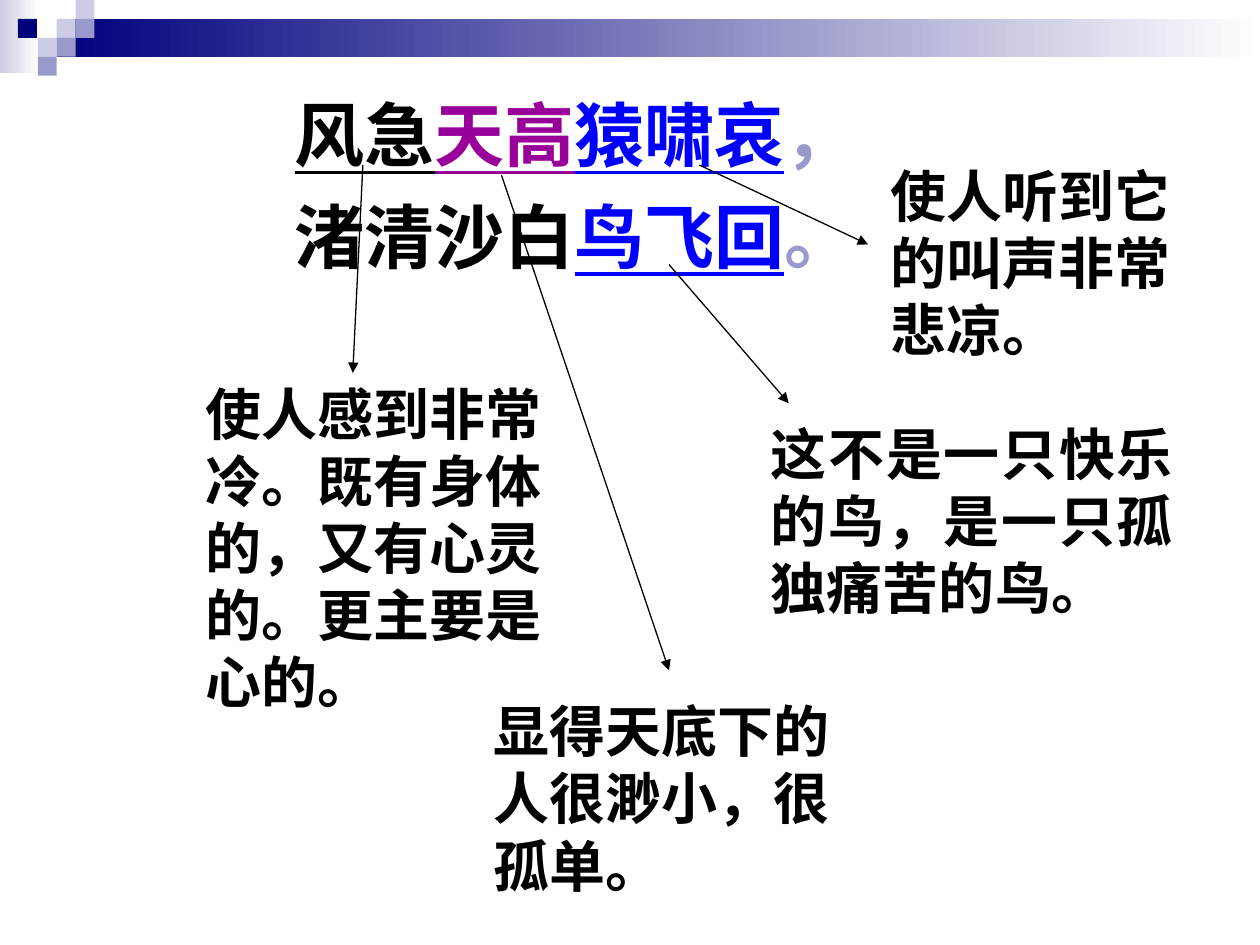
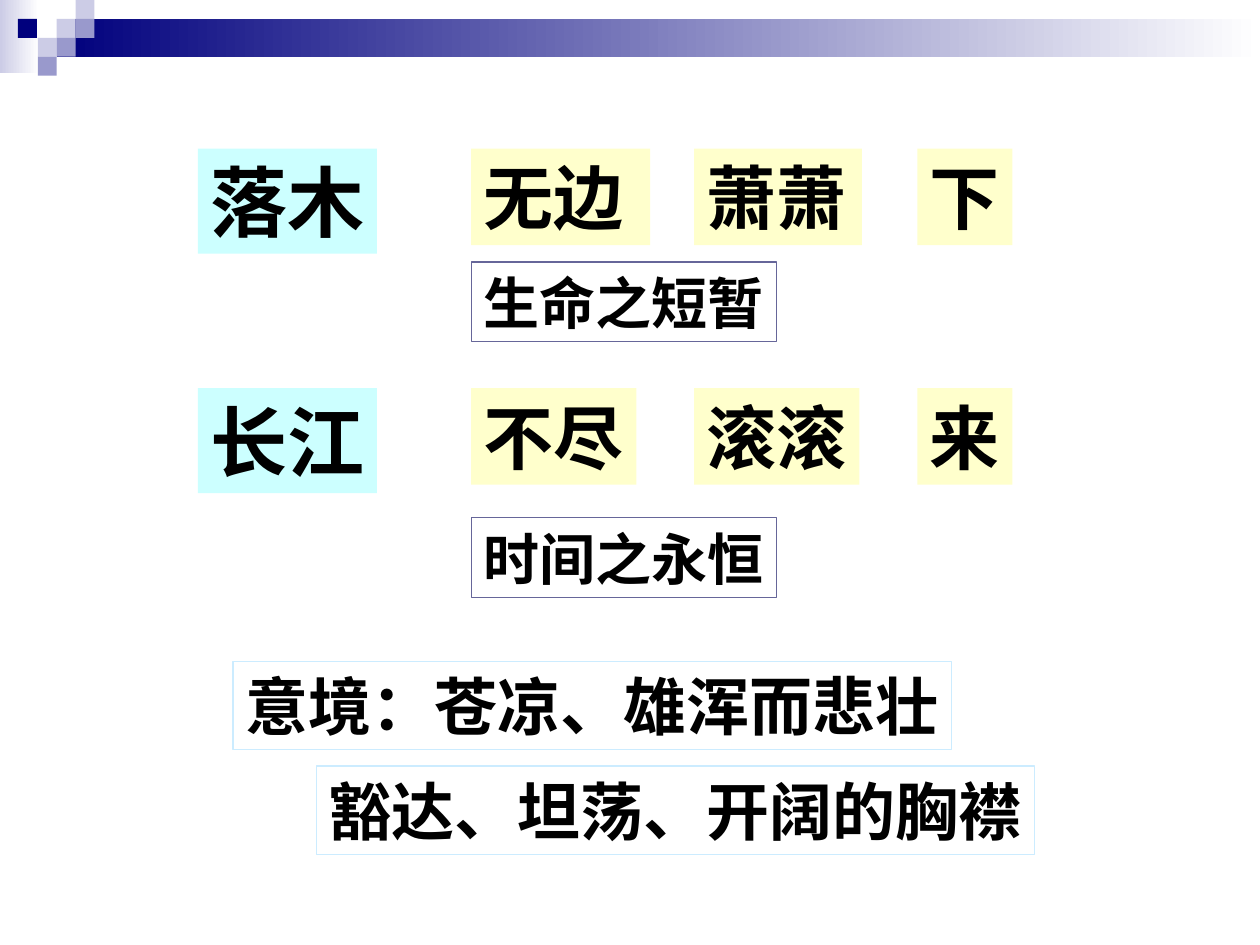
from dataclasses import dataclass
from typing import NamedTuple

from lxml import etree
from pptx import Presentation
from pptx.dml.color import RGBColor
from pptx.enum import shapes, text
from pptx.oxml import ns
from pptx.util import Emu, Inches, Pt

COLS, ROWS = 100, 75  # square cells on a 10 x 7.5 inch slide
WIDE, HIGH = Inches(10), Inches(7.5)
PER_INCH = 10  # cells in an inch


@dataclass(frozen=True)
class Theme:
    latin: str = "Times New Roman"
    asian: str = "Noto Sans CJK SC"
    ink: str = "000000"
    white: str = "FFFFFF"
    navy: str = "00007D"
    lilac: str = "9999CC"
    pale: str = "CCCCE6"
    plum: str = "990099"
    blue: str = "0000FF"
    aqua: str = "CCFFFF"
    cream: str = "FFFFCC"
    slate: str = "666699"
    sky: str = "CCECFF"
    head: int = 44
    verse: int = 40
    mood: int = 36
    note: int = 32
    lead: float = 1.2  # line height in ems
    rule: float = 0.75


T = Theme()


class Part(NamedTuple):
    words: str
    color: str
    under: bool = False


class Box(NamedTuple):
    col: float
    row: float
    cols: float
    rows: float


class Note(NamedTuple):
    words: str
    box: Box
    just: bool = False


class Line(NamedTuple):
    start: tuple[float, float]
    end: tuple[float, float]


class Tile(NamedTuple):
    words: str
    col: float
    row: float
    size: int
    fill: str | None = None
    edge: str | None = None
    extra: float = 0  # columns beyond the width of the words


# Grid and text helpers
def x(col: float) -> Emu:
    return Emu(round(WIDE * col / COLS))


def y(row: float) -> Emu:
    return Emu(round(HIGH * row / ROWS))


def place(box: Box) -> tuple[Emu, Emu, Emu, Emu]:
    return x(box.col), y(box.row), x(box.cols), y(box.rows)


def rgb(code: str) -> RGBColor:
    return RGBColor.from_string(code)


def frame(shape, wrap: bool = True):
    tf = shape.text_frame
    tf.word_wrap = wrap
    tf.auto_size = text.MSO_AUTO_SIZE.NONE
    tf.vertical_anchor = text.MSO_ANCHOR.TOP
    return tf


def write(para, parts: list[Part], size: int, latin: str = T.latin) -> None:
    para.line_spacing = Pt(size * T.lead)
    para.space_before = Pt(0)
    para.alignment = text.PP_ALIGN.LEFT
    for part in parts:
        run = para.add_run()
        run.text = part.words
        font = run.font
        font.name, font.size, font.bold = latin, Pt(size), True
        font.underline = part.under
        font.color.rgb = rgb(part.color)
        face = etree.Element(ns.qn("a:ea"), typeface=T.asian)
        run._r.rPr.find(ns.qn("a:latin")).addnext(face)


# Shape helpers
def rect(slide, box: Box, fill: str | None, edge: str | None = None,
         fade: bool = False):
    shape = slide.shapes.add_shape(shapes.MSO_SHAPE.RECTANGLE, *place(box))
    shape.shadow.inherit = False
    if fade:
        shape.fill.gradient()
        shape.fill.gradient_angle = 0
        for stop, color, pos in zip(shape.fill.gradient_stops,
                                    (fill, T.white), (0, 1)):
            stop.color.rgb, stop.position = rgb(color), pos
    elif fill:
        shape.fill.solid()
        shape.fill.fore_color.rgb = rgb(fill)
    else:
        shape.fill.background()
    if edge:
        shape.line.color.rgb, shape.line.width = rgb(edge), Pt(T.rule)
    else:
        shape.line.fill.background()
    return shape


def band(slide) -> None:
    side = 1.5
    rect(slide, Box(0, 0, 3.1, 5.8), T.pale, fade=True)
    rect(slide, Box(4.5, side, 95.5, 3), T.navy, fade=True)
    for col, row, color in CHECKS:
        rect(slide, Box(col * side, row * side, side, side), color)


def jot(slide, note: Note) -> None:
    tf = frame(slide.shapes.add_textbox(*place(note.box)))
    para = tf.paragraphs[0]
    write(para, [Part(note.words, T.ink)], T.note, T.asian)
    if note.just:
        para.alignment = text.PP_ALIGN.JUSTIFY


def arrow(slide, line: Line) -> None:
    (c1, r1), (c2, r2) = line
    link = slide.shapes.add_connector(shapes.MSO_CONNECTOR.STRAIGHT,
                                      x(c1), y(r1), x(c2), y(r2))
    link.line.color.rgb, link.line.width = rgb(T.ink), Pt(T.rule)
    etree.SubElement(link.line._get_or_add_ln(), ns.qn("a:tailEnd"),
                     type="triangle")
    etree.SubElement(link._element.spPr, ns.qn("a:effectLst"))


def tile(slide, item: Tile) -> None:
    em = item.size / 72 * PER_INCH
    box = Box(item.col, item.row, len(item.words) * em + 2 + item.extra,
              T.lead * em + 1)
    tf = frame(rect(slide, box, item.fill, item.edge), item.extra > 0)
    write(tf.paragraphs[0], [Part(item.words, T.ink)], item.size)


# Content
CHECKS = [(3, 1, T.pale), (4, 0, T.pale), (4, 1, T.lilac), (2, 2, T.pale),
          (0.95, 1, T.navy), (3, 2, T.lilac), (2, 3, T.lilac)]

POEM = [
    [Part("风急", T.ink, True), Part("天高", T.plum, True),
     Part("猿啸哀", T.blue, True), Part("，", T.lilac)],
    [Part("渚清沙白", T.ink), Part("鸟飞回", T.blue, True),
     Part("。", T.lilac)],
]

NOTES = [
    Note("使人感到非常冷。既有身体的，又有心灵的。更主要是心的。",
         Box(15.3, 29.6, 31.5, 27.7)),
    Note("显得天底下的人很渺小，很孤单。", Box(38.2, 54.8, 31.5, 17)),
    Note("使人听到它的叫声非常悲凉。", Box(69.7, 12.3, 27.6, 17)),
    Note("这不是一只快乐的鸟，是一只孤独痛苦的鸟。",
         Box(60.2, 32.8, 33.9, 17), True),
]

LINES = [
    Line((28.8, 13.1), (28, 29.6)),
    Line((39.8, 13.9), (53.1, 53.2)),
    Line((55.5, 13.1), (68.9, 19.4)),
    Line((53.1, 21), (62.6, 32)),
]

STOPS = (37.4, 55.1, 72.8)  # columns of the word tiles
VERSES = [  # row, subject, words, extra width, meaning, its row
    (11.8, "落木", ("无边", "萧萧", "下"), (1.1, 0.2, 0), "生命之短暂", 20.8),
    (30.8, "长江", ("不尽", "滚滚", "来"), (0, 0, 0), "时间之永恒", 41.1),
]
MOODS = [
    Tile("意境：苍凉、雄浑而悲壮", 18.5, 52.5, T.mood, None, T.sky),
    Tile("豁达、坦荡、开阔的胸襟", 25.1, 60.8, T.mood, T.white, T.sky),
]


# Slides
def poem(deck) -> None:
    slide = deck.slides.add_slide(deck.slide_layouts[1])
    band(slide)
    title = slide.shapes.title.element
    title.getparent().remove(title)
    body = slide.placeholders[1]
    body.left, body.top, body.width, body.height = place(
        Box(22.4, 6.8, 58.6, 18.1))
    tf = frame(body)
    for i, parts in enumerate(POEM):
        para = tf.add_paragraph() if i else tf.paragraphs[0]
        props = para._p.get_or_add_pPr()
        props.set("marL", str(Inches(0.38)))
        props.set("indent", str(-Inches(0.38)))
        etree.SubElement(props, ns.qn("a:buNone"))
        write(para, parts, T.verse)
        if i:
            para.space_before = Pt(10)
    for note in NOTES:
        jot(slide, note)
    for line in LINES:
        arrow(slide, line)


def mood(deck) -> None:
    slide = deck.slides.add_slide(deck.slide_layouts[6])
    band(slide)
    for row, head, words, extras, sense, low in VERSES:
        tile(slide, Tile(head, 15.7, row, T.head, T.aqua))
        for col, word, extra in zip(STOPS, words, extras):
            tile(slide, Tile(word, col, row, T.verse, T.cream, extra=extra))
        tile(slide, Tile(sense, STOPS[0], low, T.note, edge=T.slate))
    for item in MOODS:
        tile(slide, item)


def main() -> None:
    deck = Presentation()
    deck.slide_width, deck.slide_height = WIDE, HIGH
    poem(deck)
    mood(deck)
    deck.save("out.pptx")


if __name__ == "__main__":
    main()
